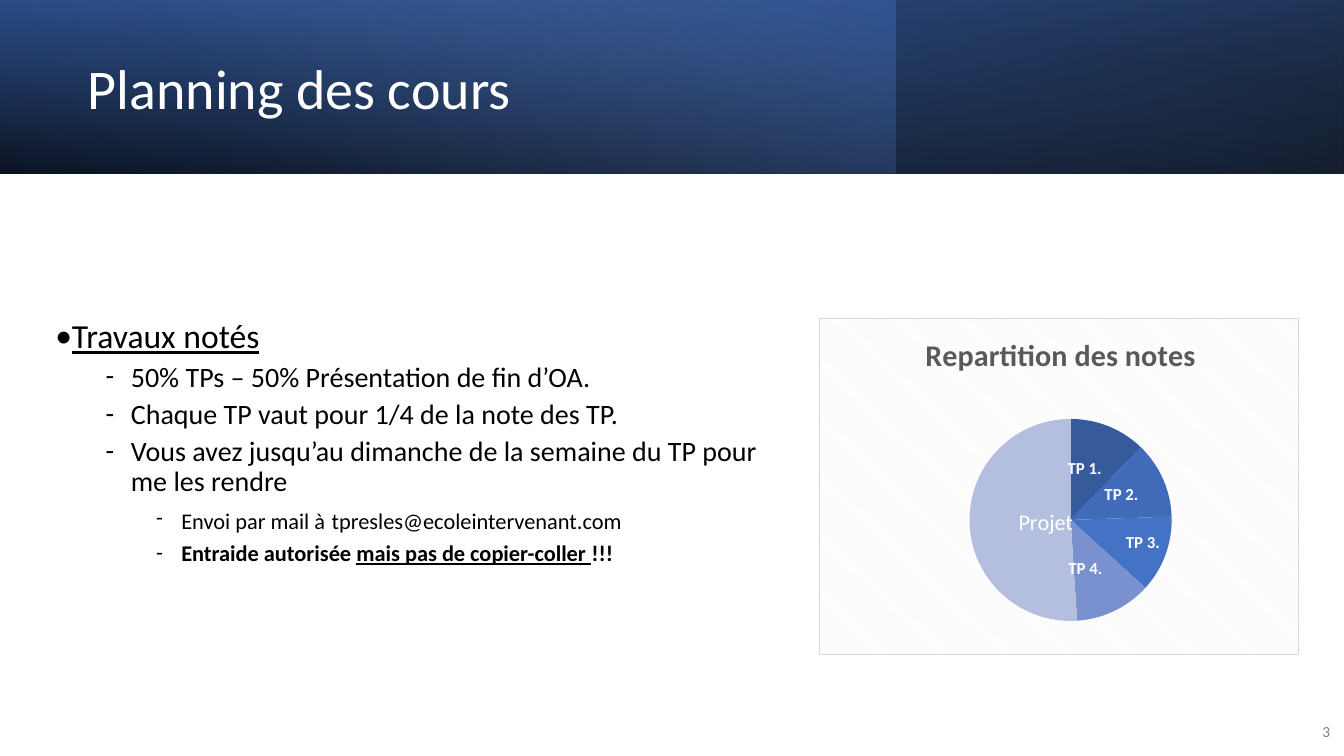
from lxml import etree
from pptx import Presentation, util as u
from pptx.chart.data import CategoryChartData
from pptx.dml.color import RGBColor
from pptx.enum import chart as charts, shapes, text
from pptx.oxml import parse_xml
from pptx.oxml.ns import nsdecls, qn

COLORS = {
    "white": "FFFFFF", "black": "000000", "navy": "2F5597", "blue": "4472C4",
    "sky": "8FAADC", "number": "808080", "heading": "595959",
    "hatch": "F2F2F2", "border": "D9D9D9",
}
FONT = "Calibri"

presentation = Presentation()
presentation.slide_width = u.Inches(13.33)
presentation.slide_height = u.Inches(7.5)
WIDTH, HEIGHT = presentation.slide_width, presentation.slide_height
BANNER_HEIGHT = int(HEIGHT * 0.23)
slide = presentation.slides.add_slide(presentation.slide_layouts[5])


def style(font, size, color, bold=False):
    font.name, font.size, font.bold = FONT, u.Pt(size), bold
    font.color.rgb = RGBColor.from_string(COLORS[color])


def set_layout(parent, after, settings):
    """Place a chart part by shares of the chart's size."""
    for old in parent.findall(qn("c:layout")):
        parent.remove(old)
    items = "".join(f'<c:{name} val="{value}"/>' for name, value in settings.items())
    layout = parse_xml(f'<c:layout {nsdecls("c")}><c:manualLayout>{items}'
                       '</c:manualLayout></c:layout>')
    if after:
        parent.find(qn(after)).addnext(layout)
    else:
        parent.insert(0, layout)


# White ground
ground = slide.shapes.add_shape(shapes.MSO_SHAPE.RECTANGLE, 0, 0, WIDTH, HEIGHT)
ground.shadow.inherit = False
ground.fill.solid()
ground.fill.fore_color.rgb = RGBColor.from_string(COLORS["white"])
ground.line.fill.background()

# Banner: three gradient layers; stops are (position, colour, opacity) in percent
layers = [
    (1, 180, True, 100, [(0, "black", 96), (100, "navy", 100)]),
    (2 / 3, 0, False, 140, [(0, "blue", 41), (74, "sky", 0)]),
    (1, 0, True, 260, [(0, "black", 63), (78, "blue", 15)]),
]
for share, rotation, flipped, angle, stops in layers:
    layer = slide.shapes.add_shape(
        shapes.MSO_SHAPE.RECTANGLE, 0, 0, int(WIDTH * share), BANNER_HEIGHT)
    layer.shadow.inherit = False
    layer.line.fill.background()
    layer.rotation = rotation
    properties = layer.element.spPr
    if flipped:
        properties.find(qn("a:xfrm")).set("flipH", "1")
    stop_xml = "".join(
        f'<a:gs pos="{position * 1000}"><a:srgbClr val="{COLORS[color]}">'
        f'<a:alpha val="{opacity * 1000}"/></a:srgbClr></a:gs>'
        for position, color, opacity in stops)
    properties.find(qn("a:prstGeom")).addnext(parse_xml(
        f'<a:gradFill {nsdecls("a")} rotWithShape="1"><a:gsLst>{stop_xml}</a:gsLst>'
        f'<a:lin ang="{angle * 60000}" scaled="0"/></a:gradFill>'))

# Title, brought in front of the banner
title = slide.shapes.title
slide.shapes.element.append(title.element)
title.left, title.top = u.Inches(0.77), u.Inches(0.27)
title.width, title.height = u.Inches(7.72), u.Inches(1.27)
title.text_frame.text = "Planning des cours"
title.text_frame.auto_size = text.MSO_AUTO_SIZE.NONE
title.text_frame.vertical_anchor = text.MSO_ANCHOR.MIDDLE
paragraph = title.text_frame.paragraphs[0]
paragraph.alignment = text.PP_ALIGN.LEFT
paragraph.line_spacing = 0.9
style(paragraph.font, 40, "white")

# Slide number
number = slide.shapes.add_textbox(u.Inches(12.8), u.Inches(7.06), u.Inches(0.49), u.Inches(0.4))
number.text_frame.word_wrap = True
number.text_frame.vertical_anchor = text.MSO_ANCHOR.MIDDLE
paragraph = number.text_frame.paragraphs[0]
paragraph.text = "3"
paragraph.alignment = text.PP_ALIGN.RIGHT
paragraph.space_after = u.Pt(6)
style(paragraph.font, 11, "number")

# Bulleted text: (level, bold, runs), each run (text, size, underlined)
lines = [
    (0, False, [("Travaux notés", 24, True)]),
    (1, False, [("50% TPs – 50% Présentation de fin d’OA.", 20, False)]),
    (1, False, [("Chaque TP vaut pour 1/4 de la note des TP.", 20, False)]),
    (1, False, [("Vous avez jusqu’au dimanche de la semaine du TP pour me les rendre", 20, False)]),
    (2, False, [("Envoi par mail à", 16, False), (" ", 20, False),
                ("tpresles@ecoleintervenant.com", 16, False)]),
    (2, True, [("Entraide autorisée ", 16, False), ("mais pas de copier-coller ", 16, True),
               ("!!!", 16, False)]),
]
body = slide.shapes.add_textbox(u.Inches(0.45), u.Inches(2.02), u.Inches(7.54), u.Inches(4.75))
body.text_frame.word_wrap = True
body.text_frame.vertical_anchor = text.MSO_ANCHOR.MIDDLE
for index, (level, bold, runs) in enumerate(lines):
    paragraph = body.text_frame.paragraphs[0] if index == 0 else body.text_frame.add_paragraph()
    paragraph.level = level
    paragraph.line_spacing = 0.9
    paragraph.space_before = u.Pt(5 if level else 10)
    bullet = paragraph._p.get_or_add_pPr()
    bullet.set("marL", str(u.Inches(0.25 + 0.5 * level if level else 0)))
    bullet.set("indent", str(u.Inches(-0.25)))
    etree.SubElement(bullet, qn("a:buFont"), typeface=FONT)
    etree.SubElement(bullet, qn("a:buChar"), char="-" if level else "•")
    for words, size, underlined in runs:
        run = paragraph.add_run()
        run.text = words
        style(run.font, size, "black", bold)
        run.font.underline = underlined

# Pie chart: (category, value, colour, label shift)
slices = [
    ("TP 1.", 12, "365A9B", (-0.01, 0.08)),
    ("TP 2.", 12, "406BB8", (-0.04, 0.01)),
    ("TP 3.", 12, "4472C4", None),
    ("TP 4.", 12, "7991CE", (-0.02, -0.08)),
    ("Projet", 50, "B4BEDF", (0.09, 0)),
]
data = CategoryChartData()
data.categories = [entry[0] for entry in slices]
data.add_series("Series 1", [entry[1] for entry in slices])
chart = slide.shapes.add_chart(
    charts.XL_CHART_TYPE.PIE, u.Inches(8.12), u.Inches(3.15),
    u.Inches(4.76), u.Inches(3.35), data).chart
style(chart.font, 10, "black")
chart.has_legend = False
chart.has_title = True
chart.chart_title.text_frame.text = "Repartition des notes"
style(chart.chart_title.text_frame.paragraphs[0].runs[0].font, 21.6, "heading", True)
set_layout(chart.chart_title._element, "c:tx",
           {"xMode": "edge", "yMode": "edge", "x": 0.21, "y": 0.03})

plot = chart.plots[0]
plot.vary_by_categories = True
series = plot.series[0]
labels = series.data_labels
labels.show_category_name, labels.show_value = True, False
labels.position = charts.XL_LABEL_POSITION.INSIDE_END
style(labels.font, 12, "white", True)
for index, (category, value, color, shift) in enumerate(slices):
    point = series.points[index]
    point.format.fill.solid()
    point.format.fill.fore_color.rgb = RGBColor.from_string(color)
    if shift is None:
        continue
    label = point.data_label
    if category == "Projet":
        label.text_frame.text = category
        style(label.text_frame.paragraphs[0].runs[0].font, 16, "white")
    else:
        style(label.font, 12, "white", True)
    label.position = charts.XL_LABEL_POSITION.INSIDE_END
    element = label._dLbl
    element.find(qn("c:showVal")).set("val", "0")
    element.find(qn("c:showCatName")).set("val", "1")
    set_layout(element, "c:idx", {"x": shift[0], "y": shift[1]})

# Pie position and hatched chart ground
set_layout(chart._chartSpace.chart.plotArea, None,
           {"layoutTarget": "inner", "xMode": "edge", "yMode": "edge",
            "x": 0.31, "y": 0.3, "w": 0.43, "h": 0.6})
chart._chartSpace.chart.addnext(parse_xml(
    f'<c:spPr {nsdecls("c", "a")}><a:pattFill prst="dkDnDiag">'
    f'<a:fgClr><a:srgbClr val="{COLORS["hatch"]}"/></a:fgClr>'
    f'<a:bgClr><a:srgbClr val="{COLORS["white"]}"/></a:bgClr></a:pattFill>'
    f'<a:ln w="{u.Pt(0.75)}"><a:solidFill><a:srgbClr val="{COLORS["border"]}"/></a:solidFill></a:ln>'
    '</c:spPr>'))

presentation.save("out.pptx")
